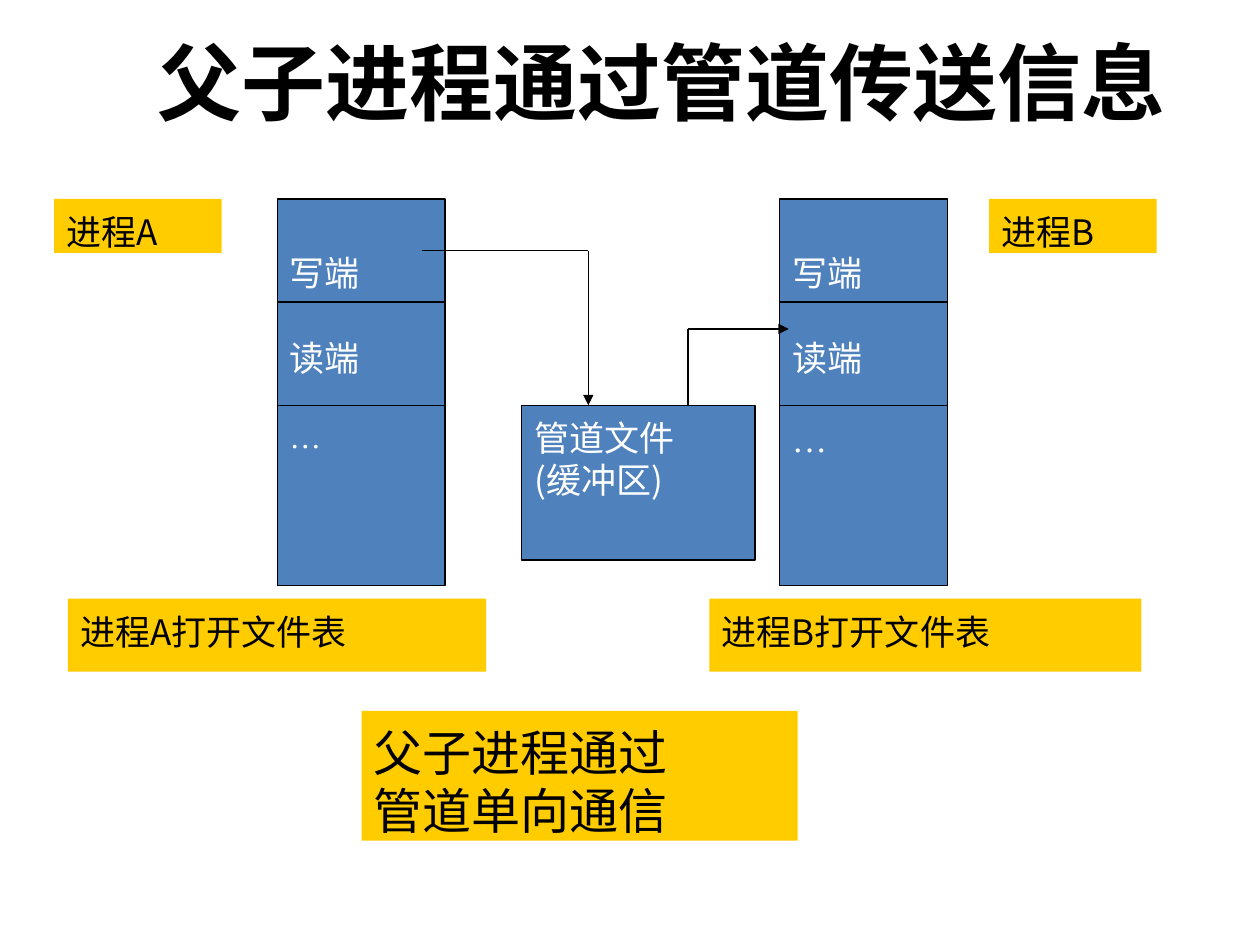
from typing import NamedTuple

from lxml import etree
from pptx import Presentation
from pptx.dml.color import RGBColor
from pptx.enum.shapes import MSO_CONNECTOR as Conn, MSO_SHAPE as Shape
from pptx.enum.text import MSO_ANCHOR as Anchor, PP_ALIGN as Align
from pptx.oxml.ns import qn
from pptx.util import Cm, Pt

CJK, SERIF = "Noto Sans CJK JP", "Times New Roman"
BLACK, WHITE, BLUE, YELLOW = "000000", "FFFFFF", "4F81BD", "FFCC00"
TABLE_TOP, TABLE_W, TABLE_H, ROW_H = 4.01, 3.38, 7.8, 2.08
CAPTION_TOP, CAPTION_H = 12.07, 1.47


class Line(NamedTuple):
    text: str
    size: float = 20
    font: str = CJK
    before: float = 0


class Box(NamedTuple):
    left: float
    top: float
    width: float
    height: float
    lines: list[Line]
    fill: str = YELLOW
    color: str = BLACK
    inset_top: float = 0.23


class Process(NamedTuple):
    table_left: float
    label_left: float
    name: str
    caption_left: float
    caption_width: float
    dots_size: float


def rgb(value: str) -> RGBColor:
    return RGBColor.from_string(value)


def set_font(p, name: str, size: float, color: str, bold: bool = False) -> None:
    """Set the font of a paragraph and of its runs, East Asian text included."""
    for font in [p.font, *(r.font for r in p.runs)]:
        font.name, font.size, font.bold = name, Pt(size), bold
        font.color.rgb = rgb(color)
    for r in p.runs:
        latin = r.font._element.find(qn("a:latin"))
        ea = etree.Element(qn("a:ea"), typeface=name)
        latin.addnext(ea)


def add_box(s, box: Box) -> None:
    sp = s.shapes.add_shape(Shape.RECTANGLE, Cm(box.left), Cm(box.top),
                            Cm(box.width), Cm(box.height))
    sp.shadow.inherit = False
    sp.fill.solid()
    sp.fill.fore_color.rgb = rgb(box.fill)
    if box.fill == BLUE:
        sp.line.color.rgb = rgb(BLACK)
        sp.line.width = Pt(0.75)
    else:
        sp.line.fill.background()
    tf = sp.text_frame
    tf.word_wrap = True
    tf.vertical_anchor = Anchor.TOP
    tf.margin_left = tf.margin_right = Cm(0.25)
    tf.margin_top, tf.margin_bottom = Cm(box.inset_top), Cm(0.13)
    for i, line in enumerate(box.lines):
        p = tf.add_paragraph() if i else tf.paragraphs[0]
        p.text = line.text
        p.alignment = Align.LEFT
        p.line_spacing = Pt(line.size * 1.2)
        if line.before:
            p.space_before = Pt(line.before)
        set_font(p, line.font, line.size, box.color)


def add_line(s, x1: float, y1: float, x2: float, y2: float, arrow: bool = False) -> None:
    cn = s.shapes.add_connector(Conn.STRAIGHT, Cm(x1), Cm(y1), Cm(x2), Cm(y2))
    cn.line.color.rgb = rgb(BLACK)
    cn.line.width = Pt(0.75)
    if arrow:
        etree.SubElement(cn.line._get_or_add_ln(), qn("a:tailEnd"), type="triangle")
    etree.SubElement(cn._element.spPr, qn("a:effectLst"))


def add_process(s, proc: Process) -> None:
    """Draw a process label, its open file table and the table's caption."""
    rows = [Line("写端"), Line("读端", before=24),
            Line("…", proc.dots_size, SERIF, before=22.5)]
    add_box(s, Box(proc.table_left, TABLE_TOP, TABLE_W, TABLE_H, rows, BLUE, WHITE, 1.07))
    for row in (1, 2):
        y = TABLE_TOP + row * ROW_H
        add_line(s, proc.table_left, y, proc.table_left + TABLE_W, y)
    add_box(s, Box(proc.label_left, TABLE_TOP, TABLE_W, 1.09, [Line(proc.name)]))
    add_box(s, Box(proc.caption_left, CAPTION_TOP, proc.caption_width, CAPTION_H,
                   [Line(f"{proc.name}打开文件表")]))


def add_title(s, text: str) -> None:
    sp = s.shapes.add_textbox(Cm(2.54), Cm(0.05), Cm(21.59), Cm(3.18))
    tf = sp.text_frame
    tf.word_wrap = True
    tf.vertical_anchor = Anchor.MIDDLE
    p = tf.paragraphs[0]
    p.text = text
    p.alignment = Align.CENTER
    set_font(p, CJK, 48, BLACK, bold=True)


def main() -> None:
    prs = Presentation()
    prs.slide_width, prs.slide_height = Cm(25.4), Cm(19.05)
    s = prs.slides.add_slide(prs.slide_layouts[6])

    add_title(s, "父子进程通过管道传送信息")
    for proc in (Process(5.59, 1.09, "进程A", 1.37, 8.43, 18),
                 Process(15.72, 19.94, "进程B", 14.3, 8.71, 20)):
        add_process(s, proc)

    pipe_top = TABLE_TOP + 2 * ROW_H
    add_box(s, Box(10.52, pipe_top, 4.7, 3.12,
                   [Line("管道文件"), Line("(缓冲区)")], BLUE, WHITE))

    write_x, write_y = 11.86, 5.05
    add_line(s, 8.5, write_y, write_x, write_y)
    add_line(s, write_x, write_y, write_x, pipe_top, arrow=True)
    read_x, read_y = 13.87, 6.63
    add_line(s, read_x, pipe_top, read_x, read_y)
    add_line(s, read_x, read_y, 15.9, read_y, arrow=True)

    add_box(s, Box(7.29, 14.33, 8.79, 2.62,
                   [Line("父子进程通过", 28), Line("管道单向通信", 28)]))
    prs.save("out.pptx")


if __name__ == "__main__":
    main()
